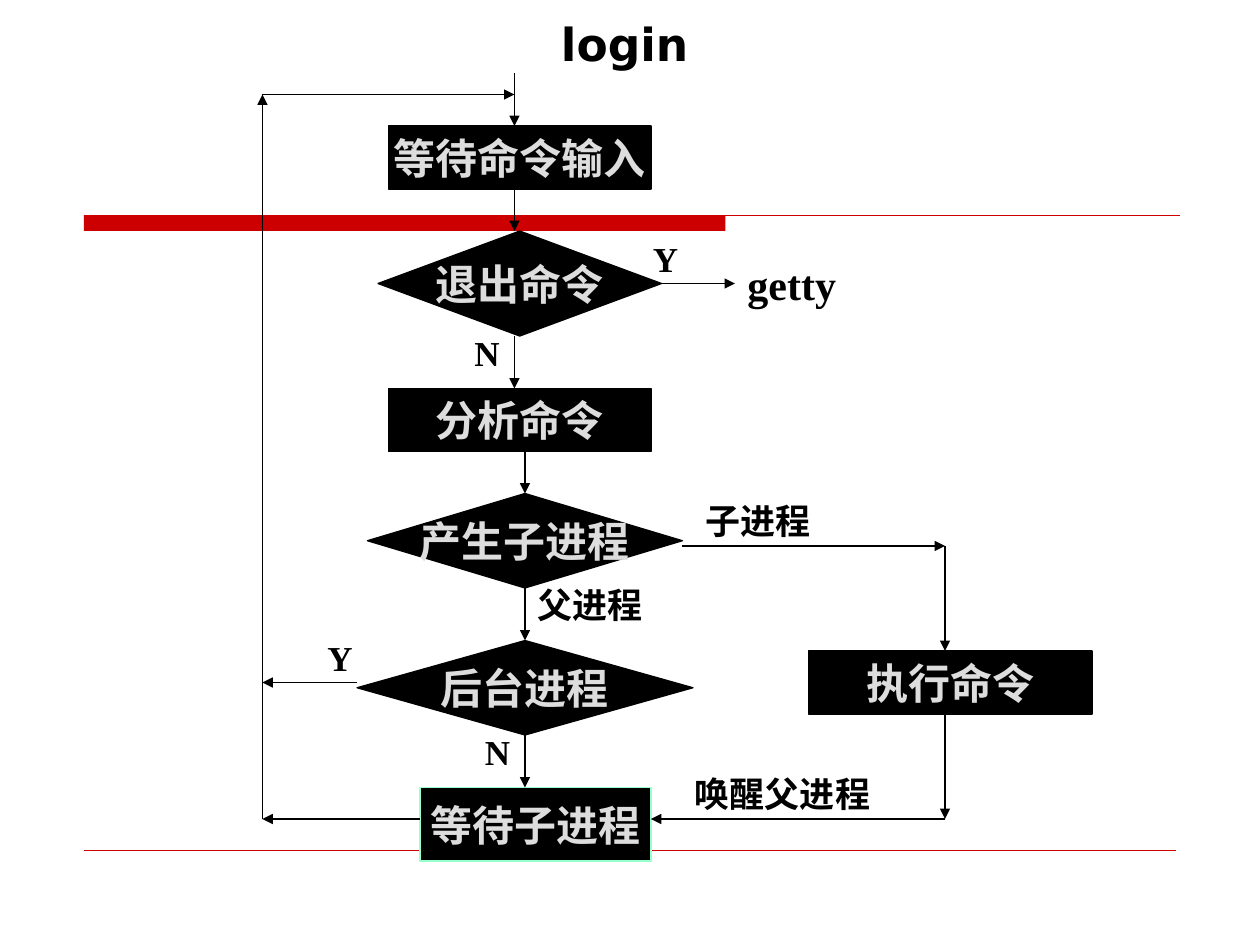
from lxml import etree
from pptx import Presentation
from pptx.dml.color import RGBColor
from pptx.enum.shapes import MSO_CONNECTOR, MSO_SHAPE
from pptx.enum.text import MSO_ANCHOR, PP_ALIGN
from pptx.oxml.ns import qn
from pptx.util import Pt

PX = 7620  # 120 px to the inch
COLORS = {"ink": "000000", "light": "DDDDDD", "red": "CC0000", "mint": "99FFCC"}


def write(shape, text, size=24, color="ink", font="Times New Roman",
          align=PP_ALIGN.LEFT, anchor=MSO_ANCHOR.TOP, wrap=True):
    frame = shape.text_frame
    frame.word_wrap = wrap
    frame.vertical_anchor = anchor
    para = frame.paragraphs[0]
    para.alignment = align
    span = para.add_run()
    span.text = text
    span.font.size = Pt(size)
    span.font.bold = True
    span.font.name = font
    span.font.color.rgb = RGBColor.from_string(COLORS[color])


def draw_line(start, end, color="ink", width=0.75, arrow=True):
    points = [value * PX for value in (*start, *end)]
    line = page.shapes.add_connector(MSO_CONNECTOR.STRAIGHT, *points)
    line.line.color.rgb = RGBColor.from_string(COLORS[color])
    line.line.width = Pt(width)
    if arrow:
        etree.SubElement(line.line._get_or_add_ln(), qn("a:tailEnd"), type="triangle")
    etree.SubElement(line._element.spPr, qn("a:effectLst"))
    return line


deck = Presentation()
deck.slide_width, deck.slide_height = 1200 * PX, 900 * PX
page = deck.slides.add_slide(deck.slide_layouts[5])

# Red rules behind the chart
bar = page.shapes.add_shape(MSO_SHAPE.RECTANGLE, 80 * PX, 205 * PX, 611 * PX, 15 * PX)
bar.shadow.inherit = False
bar.fill.solid()
bar.fill.fore_color.rgb = RGBColor.from_string(COLORS["red"])
bar.line.fill.background()
draw_line((80, 205), (1124, 205), color="red", arrow=False)
draw_line((80, 810), (1120, 810), color="red", width=0.25, arrow=False)

title = page.shapes.title
title.left, title.top, title.width, title.height = 140 * PX, 9 * PX, 910 * PX, 60 * PX
write(title, "login", size=26, font="DejaVu Sans", align=PP_ALIGN.CENTER)

# Steps and decisions: kind, left, top, width, height, outline
RECT, DECISION, PROCESS = (MSO_SHAPE.RECTANGLE, MSO_SHAPE.FLOWCHART_DECISION,
                           MSO_SHAPE.FLOWCHART_PROCESS)
steps = [
    ("等待命令输入", RECT, 370, 120, 250, 60, "ink"),
    ("分析命令", RECT, 370, 370, 250, 60, "ink"),
    ("退出命令", DECISION, 360, 220, 270, 100, "ink"),
    ("产生子进程", DECISION, 350, 470, 300, 90, "ink"),
    ("后台进程", DECISION, 340, 610, 320, 90, "ink"),
    ("等待子进程", PROCESS, 400, 750, 220, 70, "mint"),
    ("执行命令", RECT, 770, 620, 270, 60, "ink"),
]
side_middles = {}
for text, kind, left, top, width, height, outline in steps:
    box = page.shapes.add_shape(kind, left * PX, top * PX, width * PX, height * PX)
    box.shadow.inherit = False
    box.fill.solid()
    box.fill.fore_color.rgb = RGBColor.from_string(COLORS["ink"])
    box.line.color.rgb = RGBColor.from_string(COLORS[outline])
    box.line.width = Pt(0.75)
    write(box, text, color="light", align=PP_ALIGN.CENTER,
          anchor=MSO_ANCHOR.MIDDLE, wrap=False)
    center, middle = left + width // 2, top + height // 2
    sides = [(center, top), (left, middle), (center, top + height), (left + width, middle)]
    for number, point in enumerate(sides):
        side_middles[point] = (box, number)

# Arrows, joined to a box wherever they meet the middle of its side
arrows = [
    ((490, 70), (490, 120)), ((490, 180), (490, 220)), ((490, 320), (490, 370)),
    ((500, 430), (500, 470)), ((500, 560), (500, 610)), ((500, 700), (500, 750)),
    ((630, 270), (700, 270)), ((650, 520), (900, 520)), ((900, 520), (900, 620)),
    ((900, 680), (900, 780)), ((900, 780), (620, 780)), ((250, 90), (490, 90)),
    ((400, 780), (250, 780)), ((250, 780), (250, 90)), ((340, 650), (250, 650)),
]
for start, end in arrows:
    arrow = draw_line(start, end)
    if start in side_middles:
        arrow.begin_connect(*side_middles[start])
    if end in side_middles:
        arrow.end_connect(*side_middles[end])

# Labels: left, top, width, height, size
labels = [
    ("getty", 700, 240, 160, 60, 24),
    ("Y", 610, 220, 60, 53, 20),
    ("N", 440, 310, 80, 53, 20),
    ("子进程", 660, 470, 130, 53, 20),
    ("父进程", 500, 550, 130, 53, 20),
    ("唤醒父进程", 650, 730, 230, 53, 20),
    ("N", 450, 690, 60, 53, 20),
    ("Y", 300, 600, 70, 53, 20),
]
for text, left, top, width, height, size in labels:
    label = page.shapes.add_textbox(left * PX, top * PX, width * PX, height * PX)
    write(label, text, size=size)

deck.save("out.pptx")
